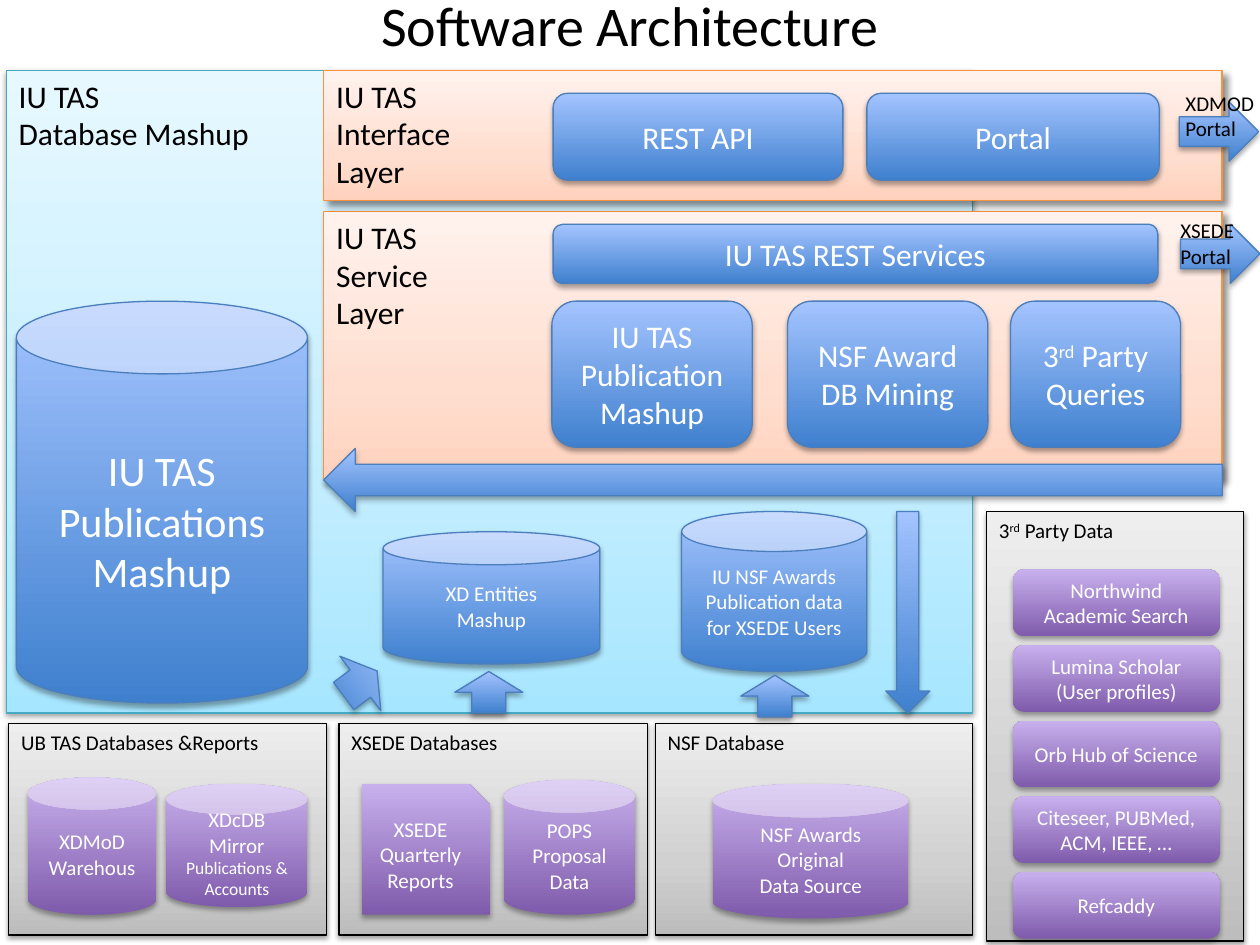
"""Build the Software Architecture slide."""
from copy import deepcopy

from lxml import etree
from pptx import Presentation
from pptx.dml.color import RGBColor
from pptx.enum.shapes import MSO_SHAPE
from pptx.enum.text import MSO_ANCHOR, PP_ALIGN
from pptx.oxml.ns import qn
from pptx.util import Inches, Pt

RECT, ROUND, CAN = MSO_SHAPE.RECTANGLE, MSO_SHAPE.ROUNDED_RECTANGLE, MSO_SHAPE.CAN
SNIP = MSO_SHAPE.SNIP_1_RECTANGLE
RIGHT, LEFT = MSO_SHAPE.RIGHT_ARROW, MSO_SHAPE.LEFT_ARROW
UP, DOWN = MSO_SHAPE.UP_ARROW, MSO_SHAPE.DOWN_ARROW
TOP, MIDDLE = MSO_ANCHOR.TOP, MSO_ANCHOR.MIDDLE
START, CENTER = PP_ALIGN.LEFT, PP_ALIGN.CENTER

FONT = "Calibri"
BLACK, WHITE = RGBColor(0, 0, 0), RGBColor(255, 255, 255)
AQUA_EDGE = RGBColor(0x46, 0xAA, 0xC5)
ORANGE_EDGE = RGBColor(0xF6, 0x92, 0x40)
BLUE_EDGE = RGBColor(0x4B, 0x7E, 0xBC)
AQUA = [RGBColor(0xA7, 0xE6, 0xFF), RGBColor(0xC1, 0xED, 0xFF), RGBColor(0xE7, 0xF8, 0xFF)]
GRAY = [RGBColor(0xBD, 0xBD, 0xBD), RGBColor(0xD1, 0xD1, 0xD1), RGBColor(0xEE, 0xEE, 0xEE)]
ORANGE = [RGBColor(0xFF, 0xD2, 0xBD), RGBColor(0xFF, 0xDE, 0xD0), RGBColor(0xFF, 0xF2, 0xED)]
BLUE = [RGBColor(0x3F, 0x80, 0xCE), RGBColor(0xA4, 0xC4, 0xFF)]
PURPLE = [RGBColor(0x7F, 0x5B, 0xAB), RGBColor(0xC8, 0xB0, 0xED)]

SOFT, PANEL_SHADOW, SLANTED = (35, 3.1, 1.8, 90), (38, 3.1, 1.6, 90), (43, 4, 3, 45)
STYLES = {
    "mashup": (AQUA, AQUA_EDGE, PANEL_SHADOW),
    "data": (GRAY, BLACK, PANEL_SHADOW),
    "layer": (ORANGE, ORANGE_EDGE, SLANTED),
    "blue": (BLUE, BLUE_EDGE, SOFT),
    "purple": (PURPLE, None, SOFT),
}

PANELS = [
    ("mashup", (0.05, 0.56, 7.67, 5.1), "IU TAS\nDatabase Mashup", 18),
    ("data", (7.83, 4.06, 2.04, 3.41), "3^rd^ Party Data", 12),
    ("data", (5.2, 5.74, 2.52, 1.68), "NSF Database", 12),
    ("data", (2.69, 5.74, 2.45, 1.68), "XSEDE Databases", 12),
    ("data", (0.07, 5.74, 2.52, 1.68), "UB TAS Databases &Reports", 12),
    ("layer", (2.57, 1.68, 7.13, 2.13), "IU TAS\nService\nLayer", 18),
    ("layer", (2.57, 0.56, 7.13, 1.03), "IU TAS\nInterface\nLayer", 18),
]
COMPONENTS = [
    (ROUND, "blue", (4.39, 1.78, 4.8, 0.47), "IU TAS REST Services", 18),
    (ROUND, "blue", (4.39, 0.74, 2.3, 0.69), "REST API", 18),
    (ROUND, "blue", (6.88, 0.74, 2.32, 0.69), "Portal", 18),
    (ROUND, "blue", (8.02, 2.39, 1.35, 1.16), "3^rd^ Party\nQueries", 18),
    (ROUND, "blue", (6.25, 2.39, 1.59, 1.16), "NSF Award\nDB Mining", 18),
    (ROUND, "blue", (4.38, 2.39, 1.59, 1.16), "IU TAS\nPublication\nMashup", 18),
    (CAN, "purple", (0.22, 6.17, 1.02, 1.09), "XDMoD\nWarehous", 12),
    (CAN, "purple", (1.32, 6.22, 1.12, 0.98), "XDcDB Mirror\nPublications & Accounts", 12, 10),
    (CAN, "purple", (4, 6.19, 1.04, 1.07), "POPS\nProposal Data", 12),
    (CAN, "purple", (5.66, 6.22, 1.55, 1.07), "NSF Awards\nOriginal\nData Source", 12),
    (CAN, "blue", (5.41, 4.06, 1.47, 1.27), "IU NSF Awards\nPublication data\nfor XSEDE Users", 12),
    (CAN, "blue", (3.04, 4.22, 1.72, 1.05), "XD Entities\nMashup", 12),
    (CAN, "blue", (0.13, 2.39, 2.31, 3.19), "IU TAS Publications Mashup", 24),
    (SNIP, "purple", (2.87, 6.22, 1.02, 1.04), "XSEDE\nQuarterly Reports", 12),
]
THIRD_PARTIES = [
    "Northwind Academic Search",
    "Lumina Scholar (User profiles)",
    "Orb Hub of Science",
    "Citeseer, PUBMed, ACM, IEEE, …",
    "Refcaddy",
]
THIRD_PARTY_LEFT, THIRD_PARTY_TOP, THIRD_PARTY_STEP = 8.04, 4.52, 0.6
THIRD_PARTY_SIZE = (1.64, 0.53)
ARROWS = [
    (LEFT, (2.57, 3.56, 7.13, 0.5), 0),
    (DOWN, (7.03, 4.06, 0.35, 1.6), 0),
    (UP, (5.88, 5.36, 0.54, 0.33), 0),
    (UP, (3.61, 5.33, 0.54, 0.33), 0),
    (UP, (2.59, 5.26, 0.54, 0.33), 53.1),
    (RIGHT, (9.37, 1.78, 0.63, 0.47), 0),
    (RIGHT, (9.36, 0.81, 0.63, 0.47), 0),
]
LABELS = [
    ((9.27, 1.68, 0.79, 0.5), "XSEDE\nPortal", 12, START, TOP),
    ((9.31, 0.67, 0.75, 0.5), "XDMOD\nPortal", 12, START, TOP),
    ((0.5, -0.35, 9, 1.08), "Software Architecture", 32, CENTER, MIDDLE),
]


def write(shape, text, sizes, color, align, anchor):
    """Fill a shape with text; carets enclose superscripts."""
    frame = shape.text_frame
    frame.word_wrap = True
    frame.vertical_anchor = anchor
    frame.text = text
    for index, paragraph in enumerate(frame.paragraphs):
        paragraph.alignment = align
        parts = paragraph.text.split("^")
        paragraph.runs[0].text = parts[0]
        for part in parts[1:]:
            paragraph.add_run().text = part
        for position, run in enumerate(paragraph.runs):
            run.font.name = FONT
            run.font.size = Pt(sizes[min(index, len(sizes) - 1)])
            run.font.color.rgb = color
            if position % 2:
                run.font._element.set("baseline", "30000")


def paint_gradient(shape, colors):
    """Apply a bottom-to-top gradient of two or three colours."""
    shape.fill.gradient()
    shape.fill.gradient_angle = 90
    if len(colors) == 3:
        stops = shape._element.spPr.find(qn("a:gradFill")).find(qn("a:gsLst"))
        stops.insert(1, deepcopy(stops[0]))
    places = (0, 0.35, 1) if len(colors) == 3 else (0, 1)
    for stop, color, place in zip(shape.fill.gradient_stops, colors, places):
        stop.color.rgb = color
        stop.position = place


def cast_shadow(shape, alpha, blur, distance, angle):
    """Give a shape an outer black shadow."""
    shape.shadow.inherit = False
    effects = shape._element.spPr.find(qn("a:effectLst"))
    shadow = etree.SubElement(effects, qn("a:outerShdw"), blurRad=str(Pt(blur)),
                              dist=str(Pt(distance)), dir=str(angle * 60000), rotWithShape="0")
    black = etree.SubElement(shadow, qn("a:srgbClr"), val=str(BLACK))
    etree.SubElement(black, qn("a:alpha"), val=str(alpha * 1000))


def draw(slide, kind, style, box):
    """Add a styled preset shape."""
    colors, edge, shadow = STYLES[style]
    shape = slide.shapes.add_shape(kind, *map(Inches, box))
    paint_gradient(shape, colors)
    if edge is None:
        shape.line.fill.background()
    else:
        shape.line.color.rgb = edge
        shape.line.width = Pt(0.75)
    cast_shadow(shape, *shadow)
    return shape


def main():
    """Assemble and save the slide."""
    deck = Presentation()
    deck.slide_width, deck.slide_height = Inches(10), Inches(7.5)
    slide = deck.slides.add_slide(deck.slide_layouts[6])

    for style, box, text, size in PANELS:
        write(draw(slide, RECT, style, box), text, [size], BLACK, START, TOP)

    third_parties = [
        (ROUND, "purple",
         (THIRD_PARTY_LEFT, THIRD_PARTY_TOP + row * THIRD_PARTY_STEP, *THIRD_PARTY_SIZE), text, 12)
        for row, text in enumerate(THIRD_PARTIES)
    ]
    for kind, style, box, text, *sizes in COMPONENTS + third_parties:
        write(draw(slide, kind, style, box), text, sizes, WHITE, CENTER, MIDDLE)

    for kind, box, rotation in ARROWS:
        draw(slide, kind, "blue", box).rotation = rotation

    for box, text, size, align, anchor in LABELS:
        label = slide.shapes.add_textbox(*map(Inches, box))
        write(label, text, [size], BLACK, align, anchor)

    deck.save("out.pptx")


if __name__ == "__main__":
    main()
